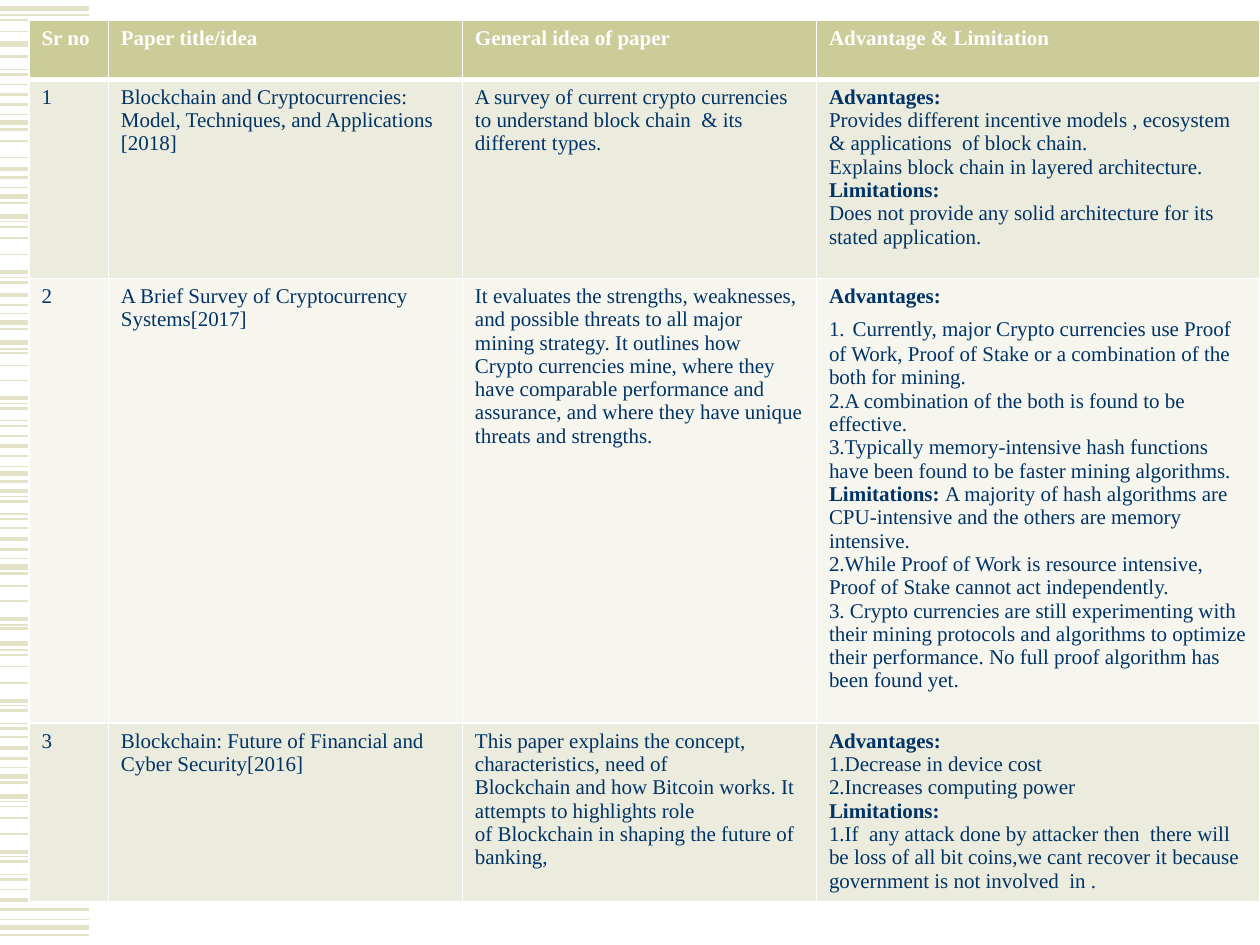
from lxml import etree
from pptx import Presentation
from pptx import util as u
from pptx.dml.color import RGBColor
from pptx.enum import shapes
from pptx.oxml.ns import qn

COLORS = {"stripe": "E3E2C7", "header": "CCCC99", "odd": "ECECDE",
          "even": "F6F6EF", "text": "003366", "white": "FFFFFF"}
FONT = "Times New Roman"

# Side stripes: line width in points -> heights on the slide in inches
STRIPES = {
    0.75: [0.12, 0.55, 0.91, 1.49, 1.76, 2.2, 2.49, 2.77, 3.2, 3.34, 3.7, 3.94, 4.08,
           4.43, 4.96, 5.16, 5.6, 5.74, 6.09, 6.36, 6.8, 6.94, 7.3],
    1: [0.16, 0.25, 0.67, 1.12, 1.25, 1.8, 1.89, 2.02, 2.8, 2.9, 3.02, 3.46, 4.19,
        4.65, 4.77, 5.2, 5.29, 5.42, 5.85, 6.4, 6.49, 6.62, 7.06],
    1.5: [0.45, 0.59, 0.83, 1.03, 1.41, 1.61, 2.24, 2.42, 2.61, 3.24, 3.38, 3.62, 3.82,
          3.98, 4.12, 4.36, 4.55, 4.99, 5.64, 5.78, 6.02, 6.21, 6.84, 6.98, 7.22, 7.42],
    2.25: [0.75, 1.34, 2.16, 2.34, 3.16, 3.54, 3.9, 4.28, 4.91, 5.56, 5.94, 6.76, 7.14],
    3: [0.07, 0.35, 0.97, 1.56, 1.72, 2.56, 2.72, 3.76, 4.5, 5.11, 6.16, 6.32, 7.36],
}
COLS = [0.63, 2.81, 2.81, 3.52]
ROWS = [0.47, 1.58, 3.53, 1.42]

# One paragraph per line; ** switches bold, | switches to the larger size
PAPERS = [
    ["**Sr no", "**Paper title/idea", "**General idea of paper", "**Advantage & Limitation"],
    ["1",
     "Blockchain and Cryptocurrencies: Model, Techniques, and Applications [2018]",
     "A survey of current crypto currencies to understand block chain  & its different types.",
     """**Advantages:
Provides different incentive models , ecosystem & applications  of block chain.
Explains block chain in layered architecture.
**Limitations:
Does not provide any solid architecture for its stated application."""],
    ["2",
     "A Brief Survey of Cryptocurrency Systems[2017]",
     "It evaluates the strengths, weaknesses, and possible threats to all major mining "
     "strategy. It outlines how Crypto currencies mine, where they have comparable "
     "performance and assurance, and where they have unique threats and strengths.",
     """**Advantages:
1.| |Currently, major Crypto currencies use Proof of Work, Proof of Stake or a combination of the both for mining.
2.A combination of the both is found to be effective.
3.Typically memory-intensive hash functions have been found to be faster mining algorithms.
**Limitations: **A majority of hash algorithms are CPU-intensive and the others are memory intensive.
2.While Proof of Work is resource intensive, Proof of Stake cannot act independently.
3. Crypto currencies are still experimenting with their mining protocols and algorithms to optimize their performance. No full proof algorithm has been found yet."""],
    ["3",
     "Blockchain: Future of Financial and Cyber Security[2016]",
     """This paper explains the concept, characteristics, need of
Blockchain and how Bitcoin works. It attempts to highlights role
of Blockchain in shaping the future of banking,""",
     """**Advantages:
1.Decrease in device cost
2.Increases computing power
**Limitations:
1.If  any attack done by attacker then  there will be loss of all bit coins,we cant recover it because government is not involved  in ."""],
]


def write_cell(cell, content, color):
    tf = cell.text_frame
    for i, line in enumerate(content.split("\n")):
        p = tf.paragraphs[0] if i == 0 else tf.add_paragraph()
        for b, part in enumerate(line.split("**")):
            for large, words in enumerate(part.split("|")):
                if words:
                    r = p.add_run()
                    r.text = words
                    r.font.name = FONT
                    r.font.size = u.Pt(18 if large % 2 else 12)
                    r.font.bold = b % 2 == 1
                    r.font.color.rgb = RGBColor.from_string(COLORS[color])


def add_borders(cell, top, bottom):
    tcPr = cell._tc.get_or_add_tcPr()
    for side, width in zip("LRTB", (1, 1, top, bottom)):
        ln = etree.SubElement(tcPr, qn(f"a:ln{side}"), w=str(u.Pt(width)))
        fill = etree.SubElement(ln, qn("a:solidFill"))
        etree.SubElement(fill, qn("a:srgbClr"), val=COLORS["white"])


prs = Presentation()
prs.slide_width, prs.slide_height = u.Inches(10), u.Inches(7.5)
s = prs.slides.add_slide(prs.slide_layouts[6])

for width, heights in STRIPES.items():
    for y in heights:
        stripe = s.shapes.add_connector(shapes.MSO_CONNECTOR.STRAIGHT, 0, u.Inches(y),
                                        u.Inches(0.71), u.Inches(y))
        stripe.line.color.rgb = RGBColor.from_string(COLORS["stripe"])
        stripe.line.width = u.Pt(width)
        etree.SubElement(stripe._element.spPr, qn("a:effectLst"))

table = s.shapes.add_table(len(ROWS), len(COLS), u.Inches(0.23), u.Inches(0.16),
                           u.Inches(sum(COLS)), u.Inches(sum(ROWS))).table
table.horz_banding = False
for column, width in zip(table.columns, COLS):
    column.width = u.Inches(width)
for i, (row, height) in enumerate(zip(table.rows, ROWS)):
    row.height = u.Inches(height)
    fill = "header" if i == 0 else "odd" if i % 2 else "even"
    for cell, content in zip(row.cells, PAPERS[i]):
        write_cell(cell, content, "text" if i else "white")
        add_borders(cell, top=3 if i == 1 else 1, bottom=1 if i else 3)
        cell.fill.solid()
        cell.fill.fore_color.rgb = RGBColor.from_string(COLORS[fill])

prs.save("out.pptx")
